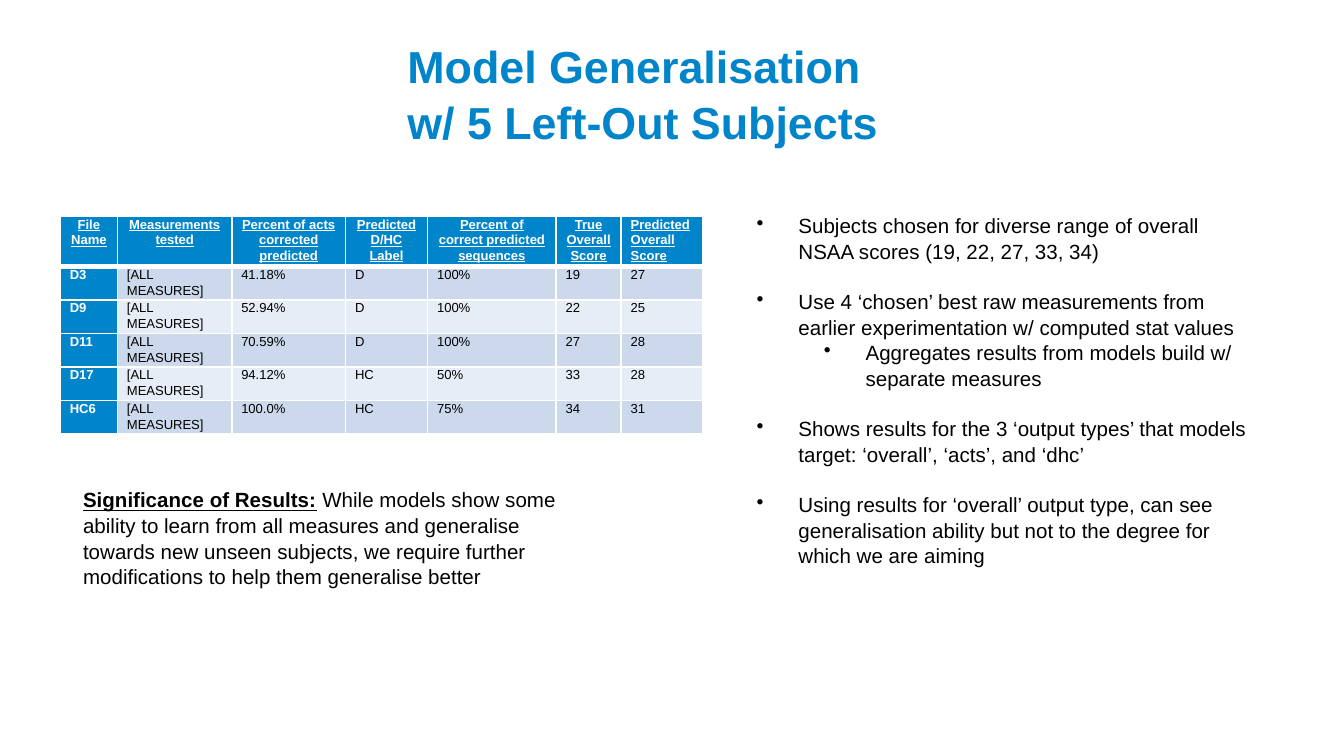
from dataclasses import dataclass

from lxml import etree
from pptx import Presentation
from pptx.dml.color import RGBColor
from pptx.enum.text import MSO_ANCHOR, PP_ALIGN
from pptx.oxml.ns import qn
from pptx.util import Cm, Pt

MIDDLE = MSO_ANCHOR.MIDDLE
LEFT, CENTER = PP_ALIGN.LEFT, PP_ALIGN.CENTER


@dataclass(frozen=True)
class Theme:
    font: str = "Arial"
    accent: str = "0085CA"
    ink: str = "000000"
    white: str = "FFFFFF"
    bands: tuple = ("CCD9EC", "E7EDF6")
    title_size: int = 24
    body_size: int = 11
    table_size: int = 7


class SlideBuilder:
    def __init__(self, page, theme):
        self.page = page
        self.theme = theme

    def style(self, para, size, color, bold=None, underline=None):
        font = para.font
        font.name, font.size = self.theme.font, Pt(size)
        font.bold, font.underline = bold, underline
        font.color.rgb = RGBColor.from_string(color)

    def text_box(self, left, top, width, height):
        box = self.page.shapes.add_textbox(Cm(left), Cm(top), Cm(width), Cm(height))
        box.text_frame.word_wrap = True
        return box.text_frame

    def title(self, text, *place):
        frame = self.text_box(*place)
        frame.vertical_anchor = MIDDLE
        frame.margin_left = frame.margin_right = frame.margin_bottom = 0
        para = frame.paragraphs[0]
        para.text = text
        para.line_spacing = 1.04
        self.style(para, self.theme.title_size, self.theme.accent, bold=True)

    def bullets(self, items, *place):
        frame = self.text_box(*place)
        for index, (level, text) in enumerate(items):
            para = frame.add_paragraph() if index else frame.paragraphs[0]
            para.text = text
            para.level = level
            para.line_spacing = 1.04
            para.space_before = Pt(13.2 if index and level == 0 else 0)
            self.style(para, self.theme.body_size, self.theme.ink)
            properties = para._p.get_or_add_pPr()
            properties.set("marL", str(Cm(0.79 + 1.27 * level)))
            properties.set("indent", str(-Cm(0.79)))
            bullet = etree.Element(qn("a:buChar"), char="•")
            properties.find(qn("a:defRPr")).addprevious(bullet)

    def statement(self, heading, text, *place):
        para = self.text_box(*place).paragraphs[0]
        para.line_spacing = 1.04
        self.style(para, self.theme.body_size, self.theme.ink)
        span = para.add_run()
        span.text = heading
        span.font.bold = span.font.underline = True
        para.add_run().text = text

    def borders(self, cell, bottom):
        properties = cell._tc.get_or_add_tcPr()
        sides = (("lnL", 1), ("lnR", 1), ("lnT", 1), ("lnB", bottom))
        for position, (side, width) in enumerate(sides):
            line = etree.Element(qn(f"a:{side}"), w=str(Pt(width)))
            fill = etree.SubElement(line, qn("a:solidFill"))
            etree.SubElement(fill, qn("a:srgbClr"), val=self.theme.white)
            properties.insert(position, line)

    def cell(self, cell, text, fill, color, align=LEFT, bold=None, underline=None, bottom=1):
        cell.margin_left = cell.margin_right = Cm(0.18)
        cell.margin_top = cell.margin_bottom = 0
        cell.fill.solid()
        cell.fill.fore_color.rgb = RGBColor.from_string(fill)
        self.borders(cell, bottom)
        para = cell.text_frame.paragraphs[0]
        para.text = text
        para.alignment = align
        para.line_spacing = 1.07
        self.style(para, self.theme.table_size, color, bold, underline)

    def table(self, header, records, left, top, widths, header_height, row_height):
        theme = self.theme
        height = header_height + row_height * len(records)
        grid = self.page.shapes.add_table(
            len(records) + 1, len(header), Cm(left), Cm(top), Cm(sum(widths)), Cm(height)
        ).table
        for column, width in zip(grid.columns, widths):
            column.width = Cm(width)
        for index, row in enumerate(grid.rows):
            row.height = Cm(row_height if index else header_height)
        for column, label in enumerate(header):
            align = LEFT if column == len(header) - 1 else CENTER
            self.cell(grid.cell(0, column), label, theme.accent, theme.white,
                      align, bold=True, underline=True, bottom=3)
        for row, record in enumerate(records, 1):
            band = theme.bands[(row - 1) % 2]
            for column, value in enumerate(record):
                if column == 0:
                    self.cell(grid.cell(row, column), value, theme.accent, theme.white, bold=True)
                else:
                    self.cell(grid.cell(row, column), value, band, theme.ink)


HEADER = ("File Name", "Measurements tested", "Percent of acts corrected predicted",
          "Predicted D/HC Label", "Percent of correct predicted sequences",
          "True Overall Score", "Predicted Overall Score")
RESULTS = (
    ("D3", "41.18%", "D", "100%", "19", "27"),
    ("D9", "52.94%", "D", "100%", "22", "25"),
    ("D11", "70.59%", "D", "100%", "27", "28"),
    ("D17", "94.12%", "HC", "50%", "33", "28"),
    ("HC6", "100.0%", "HC", "75%", "34", "31"),
)
POINTS = (
    (0, "Subjects chosen for diverse range of overall NSAA scores (19, 22, 27, 33, 34)"),
    (0, "Use 4 ‘chosen’ best raw measurements from earlier experimentation w/ computed stat values"),
    (1, "Aggregates results from models build w/ separate measures"),
    (0, "Shows results for the 3 ‘output types’ that models target: ‘overall’, ‘acts’, and ‘dhc’"),
    (0, "Using results for ‘overall’ output type, can see generalisation ability "
        "but not to the degree for which we are aiming"),
)


def main():
    deck = Presentation()
    deck.slide_width, deck.slide_height = Cm(25.4), Cm(14.29)
    page = deck.slides.add_slide(deck.slide_layouts[6])
    builder = SlideBuilder(page, Theme())
    builder.title("Model Generalisation w/ 5 Left-Out Subjects", 7.7, 0.53, 9.32, 2.31)
    builder.bullets(POINTS, 14.05, 3.89, 9.83, 6.83)
    builder.statement(
        "Significance of Results:",
        " While models show some ability to learn from all measures and generalise towards "
        "new unseen subjects, we require further modifications to help them generalise better",
        1.32, 9.07, 9.83, 2.13)
    records = [(name, "[ALL MEASURES]", *values) for name, *values in RESULTS]
    builder.table(HEADER, records, 1.14, 4.09,
                  (1.08, 2.16, 2.15, 1.55, 2.43, 1.23, 1.55), 0.95, 0.63)
    deck.save("out.pptx")


if __name__ == "__main__":
    main()
